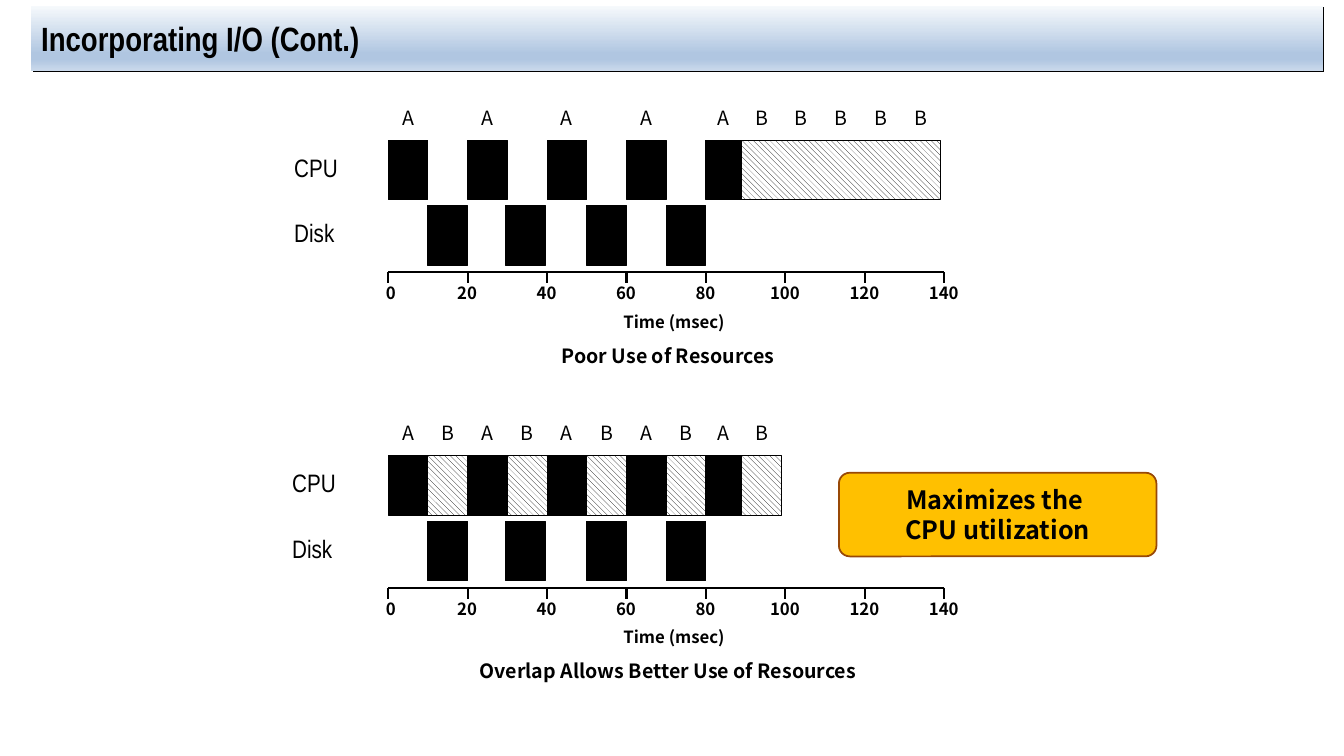
"""Build a slide comparing CPU and disk timelines with and without overlapped I/O."""
from lxml import etree
from pptx import Presentation, util as u
from pptx.dml.color import RGBColor
from pptx.enum import dml, shapes, text
from pptx.oxml import ns

TITLE = "Incorporating I/O (Cont.)"
CALLOUT = ["Maximizes the ", "CPU utilization"]
AXIS_TITLE = "Time (msec)"
TICKS = range(0, 141, 20)
DISK = [(10, 10), (29.5, 10), (50, 10), (70, 10)]
JOB_A = [("A", 0, 10), ("A", 20, 10), ("A", 40, 10), ("A", 60, 10), ("A", 80, 9)]
TIMELINES = [
    dict(caption="Poor Use of Resources", top=0, label_x=2.82,
         cpu=JOB_A + [("B", 89, 50)]),
    dict(caption="Overlap Allows Better Use of Resources", top=3.13, label_x=2.8,
         cpu=JOB_A + [("B", 10, 10), ("B", 30, 10), ("B", 50, 10),
                      ("B", 70, 10), ("B", 89, 10)]),
]

THEME = dict(
    black="000000", white="FFFFFF", gold="FFC000", brown="984807",
    bar=[(0, "F6F9FC"), (74, "B0C6E1"), (83, "B0C6E1"), (100, "CAD9EB")],
    narrow="Arial Narrow", sans="Noto Sans CJK KR",
    title=24, body=18, label=14, tick=12,
)
ORIGIN, PER_MS, BLOCK_H = 3.85, 0.0394, 0.59
CPU_Y, DISK_Y, AXIS_Y, TICK_H = 1.39, 2.04, 2.7, 0.11
CENTER, LEFT = text.PP_ALIGN.CENTER, text.PP_ALIGN.LEFT

prs = Presentation()
prs.slide_width, prs.slide_height = u.Inches(13.33), u.Inches(7.5)
s = prs.slides.add_slide(prs.slide_layouts[6])


def color(name):
    return RGBColor.from_string(THEME[name])


def at_ms(ms):
    return ORIGIN + ms * PER_MS


def write(sp, lines, size, font="sans", bold=False, align=CENTER):
    tf = sp.text_frame
    tf.word_wrap = True
    for i, line in enumerate(lines):
        p = tf.add_paragraph() if i else tf.paragraphs[0]
        p.alignment = align
        r = p.add_run()
        r.text = line
        for key, value in dict(name=THEME[font], size=u.Pt(THEME[size]), bold=bold).items():
            setattr(r.font, key, value)
        r.font.color.rgb = color("black")


def label(x, y, w, h, line, size, **fmt):
    write(s.shapes.add_textbox(*map(u.Inches, (x, y, w, h))), [line], size, **fmt)


def box(x, y, w, h, fill="black", line="black", width=0.75, kind="RECTANGLE"):
    sp = s.shapes.add_shape(shapes.MSO_SHAPE[kind], *map(u.Inches, (x, y, w, h)))
    sp.shadow.inherit = False
    if fill == "hatch":
        sp.fill.patterned()
        sp.fill.pattern = dml.MSO_PATTERN.WIDE_DOWNWARD_DIAGONAL
        sp.fill.fore_color.rgb, sp.fill.back_color.rgb = color("black"), color("white")
    else:
        sp.fill.solid()
        sp.fill.fore_color.rgb = color(fill)
    sp.line.color.rgb, sp.line.width = color(line), u.Pt(width)
    sp.text_frame.vertical_anchor = text.MSO_ANCHOR.MIDDLE
    return sp


def rule(x1, y1, x2, y2):
    cx = s.shapes.add_connector(shapes.MSO_CONNECTOR.STRAIGHT, *map(u.Inches, (x1, y1, x2, y2)))
    cx.line.color.rgb, cx.line.width = color("black"), u.Pt(1.5)
    etree.SubElement(cx._element.spPr, ns.qn("a:effectLst"))


def child(parent, tag, **attrs):
    return etree.SubElement(parent, ns.qn(tag), {k: str(v) for k, v in attrs.items()})


def title_bar():
    sp = box(0.31, 0.06, 12.81, 0.64)
    sp.line.fill.background()
    sp.fill.gradient()
    sp.fill.gradient_angle = 270
    stops = sp._element.spPr.find(".//" + ns.qn("a:gsLst"))
    for stop in list(stops):
        stops.remove(stop)
    for pos, rgb in THEME["bar"]:
        child(child(stops, "a:gs", pos=pos * 1000), "a:srgbClr", val=rgb)
    effects = sp._element.spPr.find(ns.qn("a:effectLst"))
    shadow = child(effects, "a:outerShdw", dist=u.Pt(1.4), dir=45 * 60000,
                   algn="ctr", rotWithShape=0)
    child(shadow, "a:srgbClr", val=THEME["black"])
    write(sp, [TITLE], "title", font="narrow", bold=True, align=LEFT)


def timeline(caption, top, label_x, cpu):
    axis = top + AXIS_Y
    rule(at_ms(0), axis, at_ms(140), axis)
    for ms in TICKS:
        x = at_ms(ms)
        rule(x, axis, x, axis + TICK_H)
        nudge = 0 if ms else 0.03
        label(x - 0.28 + nudge, axis + 0.06, 0.55, 0.3, str(ms), "tick", bold=True)
    for job, start, length in cpu:
        box(at_ms(start), top + CPU_Y, length * PER_MS, BLOCK_H,
            "black" if job == "A" else "hatch")
        count = max(1, length // 10)
        for i in range(count):
            middle = at_ms(start + length * (i + 0.5) / count)
            label(middle - 0.2, top + 1, 0.4, 0.34, job, "label")
    for start, length in DISK:
        box(at_ms(start), top + DISK_Y, length * PER_MS, BLOCK_H)
    label(5.86, axis + 0.34, 1.65, 0.3, AXIS_TITLE, "tick", bold=True)
    label(4.55, axis + 0.66, 4.15, 0.34, caption, "label", bold=True)
    for name, y in (("CPU", CPU_Y), ("Disk", DISK_Y)):
        label(label_x, top + y + 0.07, 1.13, 0.4, name, "body", font="narrow", align=LEFT)


title_bar()
for content in TIMELINES:
    timeline(**content)
callout = box(8.32, 4.69, 3.15, 0.83, "gold", "brown", 1.25, "ROUNDED_RECTANGLE")
callout.adjustments[0] = 0.13
write(callout, CALLOUT, "body", bold=True)
prs.save("out.pptx")
